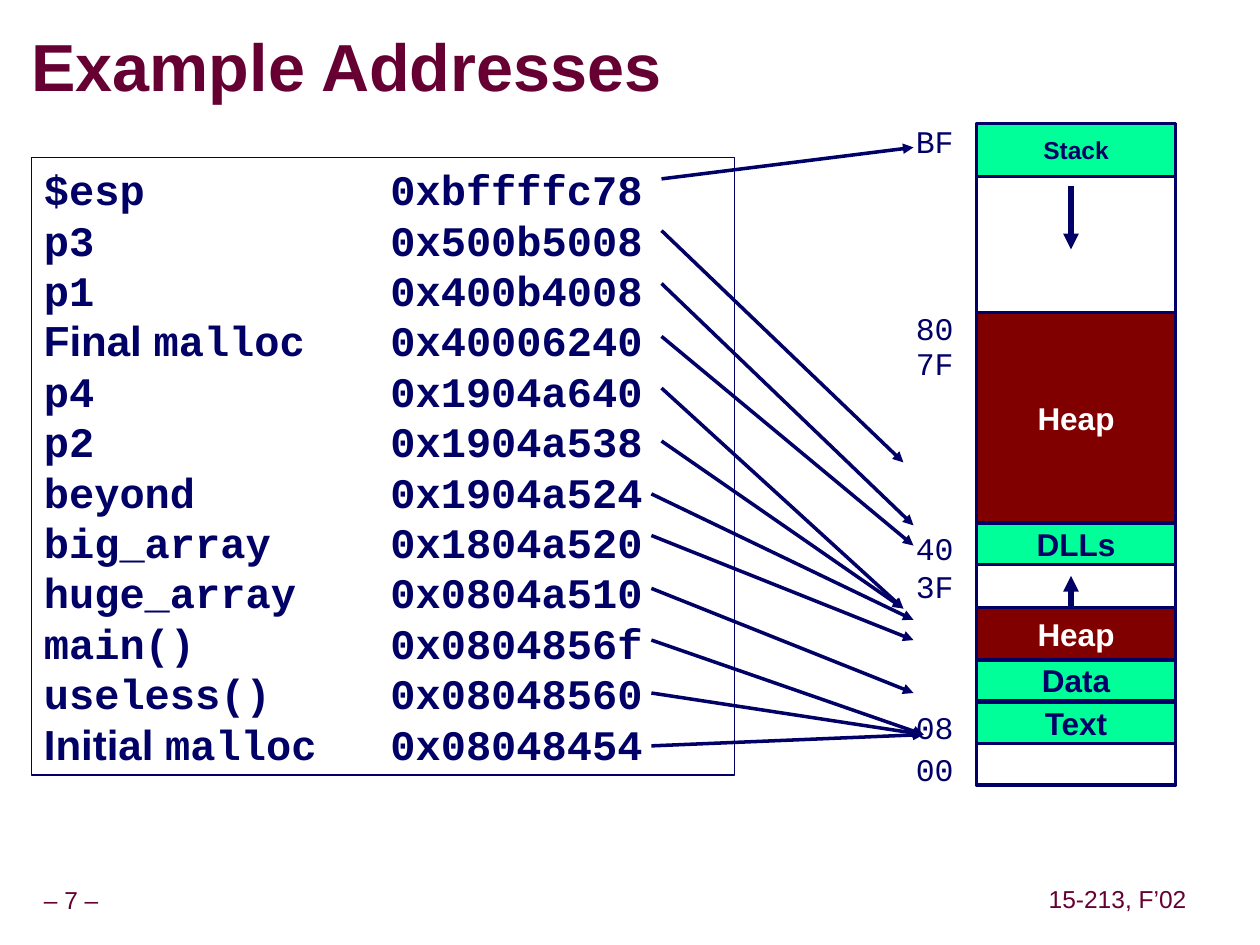
from dataclasses import dataclass

from lxml.etree import SubElement
from pptx import Presentation
from pptx.dml.color import RGBColor
from pptx.enum.shapes import MSO_CONNECTOR, MSO_SHAPE
from pptx.enum.text import MSO_ANCHOR, PP_ALIGN
from pptx.oxml.ns import qn
from pptx.util import Inches, Pt

COLORS = {
    "navy": "000066",
    "wine": "660033",
    "green": "00FF99",
    "maroon": "800000",
    "white": "FFFFFF",
    "gray": "999999",
}
SANS = "Arial"
MONO = "Courier New"
MEMORY_LEFT, MEMORY_WIDTH = 7.75, 1.58
POINTER_X = 8.5


@dataclass(frozen=True)
class Entry:
    prefix: str
    name: str
    address: str
    start: tuple[float, float]
    end: tuple[float, float]


@dataclass(frozen=True)
class Region:
    name: str
    top: float
    height: float
    fill: str = "green"
    color: str = "navy"
    size: int = 18


@dataclass(frozen=True)
class Caption:
    text: str
    place: tuple[float, float, float, float]
    size: int
    margin: float
    spacing: float
    align: PP_ALIGN
    bold: bool = False
    wrap: bool = False


ENTRIES = [
    Entry("", "$esp", "0xbffffc78", (5.25, 1.42), (7.25, 1.17)),
    Entry("", "p3", "0x500b5008", (5.25, 1.83), (7.17, 3.67)),
    Entry("", "p1", "0x400b4008", (5.25, 2.25), (7.25, 4.17)),
    Entry("Final ", "malloc", "0x40006240", (5.25, 2.67), (7.25, 4.33)),
    Entry("", "p4", "0x1904a640", (5.25, 3.08), (7.17, 4.83)),
    Entry("", "p2", "0x1904a538", (5.25, 3.5), (7.17, 4.83)),
    Entry("", "beyond", "0x1904a524", (5.17, 3.92), (7.25, 4.92)),
    Entry("", "big_array", "0x1804a520", (5.17, 4.25), (7.25, 5.08)),
    Entry("", "huge_array", "0x0804a510", (5.17, 4.67), (7.25, 5.5)),
    Entry("", "main()", "0x0804856f", (5.17, 5.08), (7.33, 5.83)),
    Entry("", "useless()", "0x08048560", (5.17, 5.5), (7.33, 5.83)),
    Entry("Initial ", "malloc", "0x08048454", (5.17, 5.92), (7.33, 5.83)),
]
REGIONS = [
    Region("", 0.98, 5.25, "white"),
    Region("Stack", 0.98, 0.42, size=14),
    Region("DLLs", 4.15, 0.33),
    Region("Text", 5.57, 0.33),
    Region("Data", 5.23, 0.33),
    Region("Heap", 4.82, 0.42, "maroon", "white"),
    Region("Heap", 2.48, 1.67, "maroon", "white"),
]
ADDRESS_TOPS = {"BF": 0.92, "80": 2.4, "7F": 2.68, "40": 4.15, "3F": 4.45, "08": 5.57, "00": 5.9}
TITLE = Caption("Example Addresses", (0.25, 0.25, 7.19, 0.63), 38, 0, 0.87, PP_ALIGN.LEFT, True, True)
FOOTERS = [
    Caption("– 7 –", (-0.09, 7, 1.31, 0.31), 14, 0.05, 0.9, PP_ALIGN.CENTER),
    Caption("15-213, F’02", (8.27, 6.99, 1.2, 0.31), 14, 0.05, 0.9, PP_ALIGN.CENTER),
]


def apply_format(target, values: dict) -> None:
    for name, value in values.items():
        setattr(target, name, value)


def rgb(color: str) -> RGBColor:
    return RGBColor.from_string(COLORS[color])


def add_span(para, text: str, size: int, face: str, color: str, bold: bool = False):
    span = para.add_run()
    span.text = text
    apply_format(span.font, {"size": Pt(size), "name": face, "bold": bold})
    span.font.color.rgb = rgb(color)
    return span


def add_rectangle(page, place: tuple, fill: str | None, weight: float):
    box = page.shapes.add_shape(MSO_SHAPE.RECTANGLE, *map(Inches, place))
    box.shadow.inherit = False
    if fill:
        box.fill.solid()
        box.fill.fore_color.rgb = rgb(fill)
    else:
        box.fill.background()
    box.line.color.rgb = rgb("navy")
    box.line.width = Pt(weight)
    return box


def add_arrow(page, start: tuple, end: tuple, weight: float) -> None:
    arrow = page.shapes.add_connector(MSO_CONNECTOR.STRAIGHT, *map(Inches, start + end))
    arrow.line.color.rgb = rgb("navy")
    arrow.line.width = Pt(weight)
    SubElement(arrow.line._get_or_add_ln(), qn("a:tailEnd"), type="triangle")
    SubElement(arrow._element.spPr, qn("a:effectLst"))


def add_caption(page, caption: Caption):
    box = page.shapes.add_textbox(*map(Inches, caption.place))
    margins = dict.fromkeys(
        ("margin_left", "margin_top", "margin_right", "margin_bottom"), Inches(caption.margin)
    )
    apply_format(
        box.text_frame,
        {"word_wrap": caption.wrap, "vertical_anchor": MSO_ANCHOR.MIDDLE, **margins},
    )
    para = box.text_frame.paragraphs[0]
    apply_format(para, {"alignment": caption.align, "line_spacing": caption.spacing})
    return add_span(para, caption.text, caption.size, SANS, "wine", caption.bold)


def add_text_shadow(span) -> None:
    effects = span._r.get_or_add_rPr().makeelement(qn("a:effectLst"))
    shadow = SubElement(effects, qn("a:outerShdw"), dist="38100", dir="2700000")
    SubElement(shadow, qn("a:srgbClr"), val=COLORS["gray"])
    span._r.rPr.find(qn("a:solidFill")).addnext(effects)


def add_entries(page, entries: list[Entry]) -> None:
    box = add_rectangle(page, (0.25, 1.25, 5.58, 4.9), None, 1)
    frame = box.text_frame
    apply_format(frame, {"word_wrap": True, "vertical_anchor": MSO_ANCHOR.TOP})
    for index, entry in enumerate(entries):
        para = frame.add_paragraph() if index else frame.paragraphs[0]
        para.alignment = PP_ALIGN.LEFT
        tabs = SubElement(para._p.get_or_add_pPr(), qn("a:tabLst"))
        SubElement(tabs, qn("a:tab"), pos=str(Inches(2.75)), algn="l")
        if entry.prefix:
            add_span(para, entry.prefix, 24, SANS, "navy", True)
        add_span(para, f"{entry.name}\t{entry.address}", 24, MONO, "navy", True)
    for entry in reversed(entries):
        add_arrow(page, entry.start, entry.end, 2)


def add_region(page, region: Region) -> None:
    place = (MEMORY_LEFT, region.top, MEMORY_WIDTH, region.height)
    box = add_rectangle(page, place, region.fill, 2)
    if region.name:
        apply_format(box.text_frame, {"word_wrap": False, "vertical_anchor": MSO_ANCHOR.MIDDLE})
        para = box.text_frame.paragraphs[0]
        para.alignment = PP_ALIGN.CENTER
        add_span(para, region.name, region.size, SANS, region.color, True)


def add_address(page, text: str, top: float) -> None:
    box = page.shapes.add_textbox(*map(Inches, (7.17, top, 0.5, 0.4)))
    box.text_frame.word_wrap = False
    add_span(box.text_frame.paragraphs[0], text, 18, MONO, "navy")


def main() -> None:
    deck = Presentation()
    apply_format(deck, {"slide_width": Inches(10), "slide_height": Inches(7.5)})
    page = deck.slides.add_slide(deck.slide_layouts[6])
    for footer in FOOTERS:
        add_caption(page, footer)
    add_text_shadow(add_caption(page, TITLE))
    add_entries(page, ENTRIES)
    for region in REGIONS:
        add_region(page, region)
    add_arrow(page, (POINTER_X, 1.48), (POINTER_X, 1.98), 3)
    add_arrow(page, (POINTER_X, 4.82), (POINTER_X, 4.57), 3)
    for text, top in ADDRESS_TOPS.items():
        add_address(page, text, top)
    deck.save("out.pptx")


if __name__ == "__main__":
    main()
